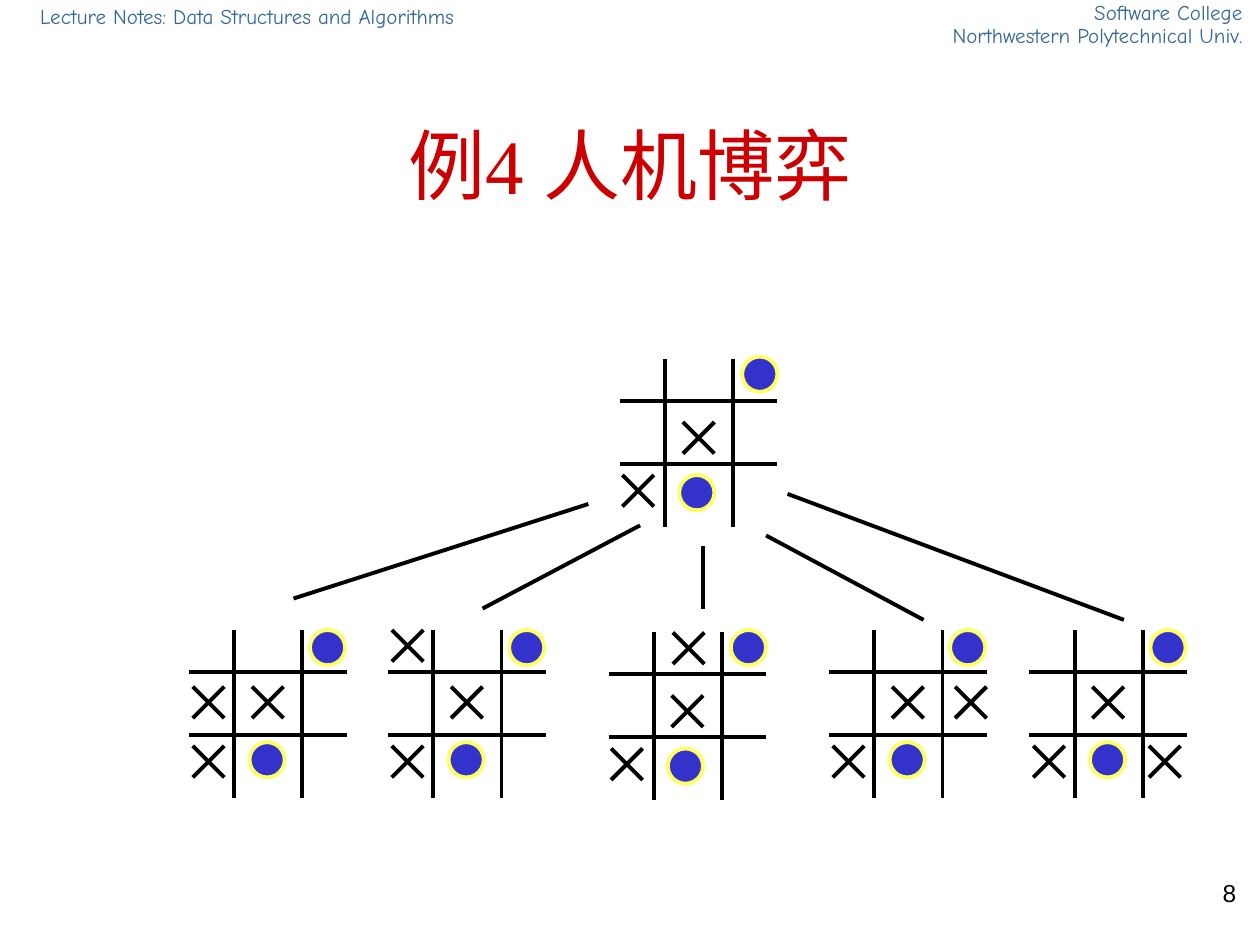
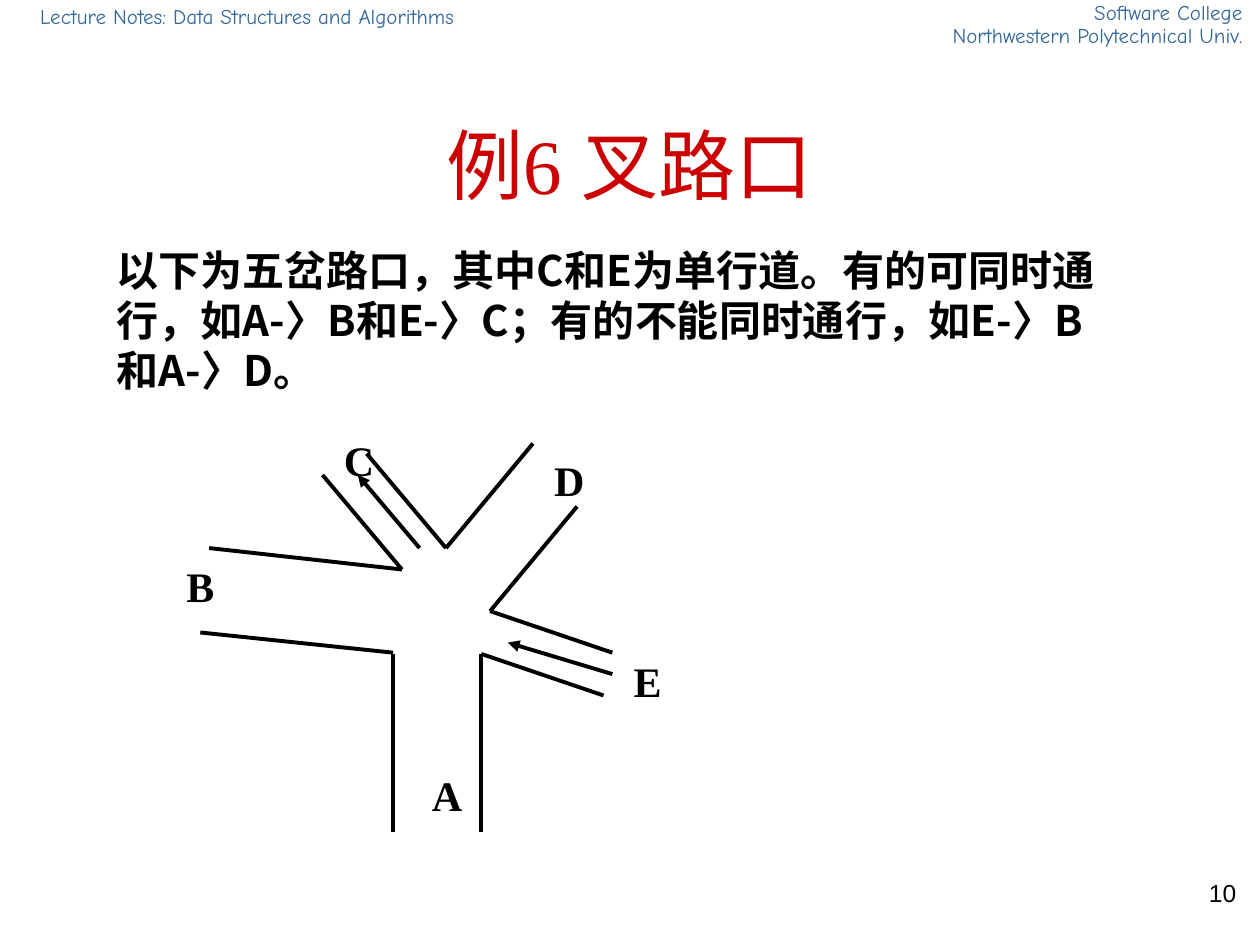
from lxml import etree
from pptx import Presentation
from pptx.dml.color import RGBColor
from pptx.enum.shapes import MSO_CONNECTOR, MSO_SHAPE
from pptx.enum.text import MSO_ANCHOR, PP_ALIGN
from pptx.oxml.ns import qn
from pptx.util import Inches, Pt

LEFT, CENTER, RIGHT = PP_ALIGN.LEFT, PP_ALIGN.CENTER, PP_ALIGN.RIGHT
TOP, MIDDLE = MSO_ANCHOR.TOP, MSO_ANCHOR.MIDDLE
STRAIGHT, OVAL = MSO_CONNECTOR.STRAIGHT, MSO_SHAPE.OVAL

COLORS = {"header": "336699", "title": "CC0000", "ink": "000000",
          "disc": "3333CC", "ring": "FFFF66"}
SERIF, SANS, CJK, HAND = "Times New Roman", "Arial", "Noto Sans CJK SC", "Comic Neue"

COURSE = "Lecture Notes: Data Structures and Algorithms"
SCHOOL = ["Software College", "Northwestern Polytechnical Univ."]

GAME = {"title": "例4 人机博弈", "page": "8"}
CROSS_SIZE, DISC_SIZE = 0.25, 0.28
CROSS_AT = {"top left": (0.03, 0), "top": (0.51, 0), "left": (0.03, 0.45),
            "center": (0.5, 0.45), "right": (1, 0.45),
            "bottom left": (0.03, 0.92), "bottom right": (0.95, 0.92)}
DISC_AT = [(0.48, 0.89), (0.96, 0)]
LOW_CROSS_AT = {**CROSS_AT, "center": (0.5, 0.5), "bottom left": (0.02, 0.92)}
LOW_DISC_AT = [(0.47, 0.92), (0.97, -0.02)]
COMMON_CROSSES = ["center", "bottom left"]
BOARDS = [
    (4.92, 2.85, None, LOW_CROSS_AT, LOW_DISC_AT),
    (1.5, 5, "left", CROSS_AT, DISC_AT),
    (3.08, 5, "top left", CROSS_AT, DISC_AT),
    (4.83, 5.02, "top", LOW_CROSS_AT, LOW_DISC_AT),
    (6.58, 5, "right", CROSS_AT, DISC_AT),
    (8.17, 5, "bottom right", CROSS_AT, DISC_AT),
]
BRANCHES = [(4.67, 4, 2.33, 4.75), (5.08, 4.17, 3.83, 4.83), (5.58, 4.33, 5.58, 4.83),
            (6.08, 4.25, 7.33, 4.92), (6.25, 3.92, 8.92, 4.92)]

CROSSROADS = {
    "title": "例6 叉路口", "page": "10",
    "body": "以下为五岔路口，其中C和E为单行道。有的可同时通行，如A-〉B和E-〉C；"
            "有的不能同时通行，如E-〉B和A-〉D。",
}
KERBS = [(2.56, 3.77, 3.19, 4.52), (2.91, 3.6, 3.54, 4.35), (3.54, 4.35, 4.23, 3.52),
         (3.89, 4.85, 4.58, 4.02), (3.89, 4.85, 4.86, 5.18), (3.82, 5.19, 4.79, 5.52),
         (3.82, 5.19, 3.82, 6.6), (3.12, 5.19, 3.12, 6.6), (3.12, 5.18, 1.59, 5.02),
         (3.19, 4.52, 1.66, 4.35)]
ONE_WAYS = [(3.33, 4.35, 2.84, 3.77), (4.86, 5.35, 4.03, 5.1)]
ROADS = {"B": (1.38, 4.44), "A": (3.33, 6.1), "E": (4.93, 5.19),
         "D": (4.3, 3.6), "C": (2.63, 3.44)}


def rgb(name):
    return RGBColor.from_string(COLORS[name])


def add_text(s, text, box, size, font, color="ink", bold=False, align=LEFT,
             anchor=TOP, wrap=True, spacing=(None,), before=0):
    tf = s.shapes.add_textbox(*map(Inches, box)).text_frame
    tf.word_wrap = wrap
    tf.vertical_anchor = anchor
    lines = [text] if isinstance(text, str) else text
    for i, line in enumerate(lines):
        p = tf.add_paragraph() if i else tf.paragraphs[0]
        p.alignment = align
        p.line_spacing = spacing[i]
        p.space_before = Pt(before if i else 0)
        r = p.add_run()
        r.text = line
        r.font.size, r.font.name, r.font.bold = Pt(size), font, bold
        r.font.color.rgb = rgb(color)
        etree.SubElement(r.font._element, qn("a:ea"), typeface=CJK)


def add_line(s, x1, y1, x2, y2, arrow=False):
    c = s.shapes.add_connector(STRAIGHT, *map(Inches, (x1, y1, x2, y2)))
    c.line.color.rgb = rgb("ink")
    c.line.width = Pt(2.25)
    if arrow:
        etree.SubElement(c.line._get_or_add_ln(), qn("a:tailEnd"), type="triangle")
    etree.SubElement(c._element.spPr, qn("a:effectLst"))


def add_disc(s, x, y):
    sp = s.shapes.add_shape(OVAL, *map(Inches, (x, y, DISC_SIZE, DISC_SIZE)))
    sp.shadow.inherit = False
    sp.fill.solid()
    sp.fill.fore_color.rgb = rgb("disc")
    sp.line.color.rgb = rgb("ring")
    sp.line.width = Pt(2.25)


def add_cross(s, x, y):
    right, bottom = x + CROSS_SIZE, y + CROSS_SIZE
    add_line(s, x, y, right, bottom)
    add_line(s, right, y, x, bottom)


def add_board(s, x, y, move, cross_at, disc_at):
    for dy in (0.33, 0.83):
        add_line(s, x, y + dy, x + 1.25, y + dy)
    for dx in (0.36, 0.9):
        add_line(s, x + dx, y, x + dx, y + 1.33)
    for cell in COMMON_CROSSES + ([move] if move else []):
        dx, dy = cross_at[cell]
        add_cross(s, x + dx, y + dy)
    for dx, dy in disc_at:
        add_disc(s, x + dx, y + dy)


def add_slide(prs, content):
    s = prs.slides.add_slide(prs.slide_layouts[6])
    add_text(s, SCHOOL, (6.73, 0, 3.23, 0.41), 12, HAND, "header", align=RIGHT,
             spacing=(0.7, 0.3), before=7.5)
    add_text(s, COURSE, (0.22, 0.05, 3.51, 0.22), 12, HAND, "header", wrap=False,
             spacing=(0.6,))
    add_text(s, content["title"], (0.75, 0.67, 8.5, 1.25), 44, SERIF, "title",
             align=CENTER, anchor=MIDDLE)
    add_text(s, content["page"], (7.83, 6.92, 2.08, 0.5), 14, SANS, align=RIGHT)
    return s


def main():
    prs = Presentation()
    prs.slide_width, prs.slide_height = Inches(10), Inches(7.5)

    s = add_slide(prs, GAME)
    for board in BOARDS:
        add_board(s, *board)
    for branch in BRANCHES:
        add_line(s, *branch)

    s = add_slide(prs, CROSSROADS)
    add_text(s, CROSSROADS["body"], (0.83, 1.89, 8.19, 4.78), 24, CJK, bold=True,
             spacing=(Pt(28.6),))
    for kerb in KERBS:
        add_line(s, *kerb)
    for lane in ONE_WAYS:
        add_line(s, *lane, arrow=True)
    for road, (x, y) in ROADS.items():
        add_text(s, road, (x, y, 0.28, 0.42), 24, SERIF, bold=True, align=CENTER,
                 anchor=MIDDLE, wrap=False)

    prs.save("out.pptx")


if __name__ == "__main__":
    main()
